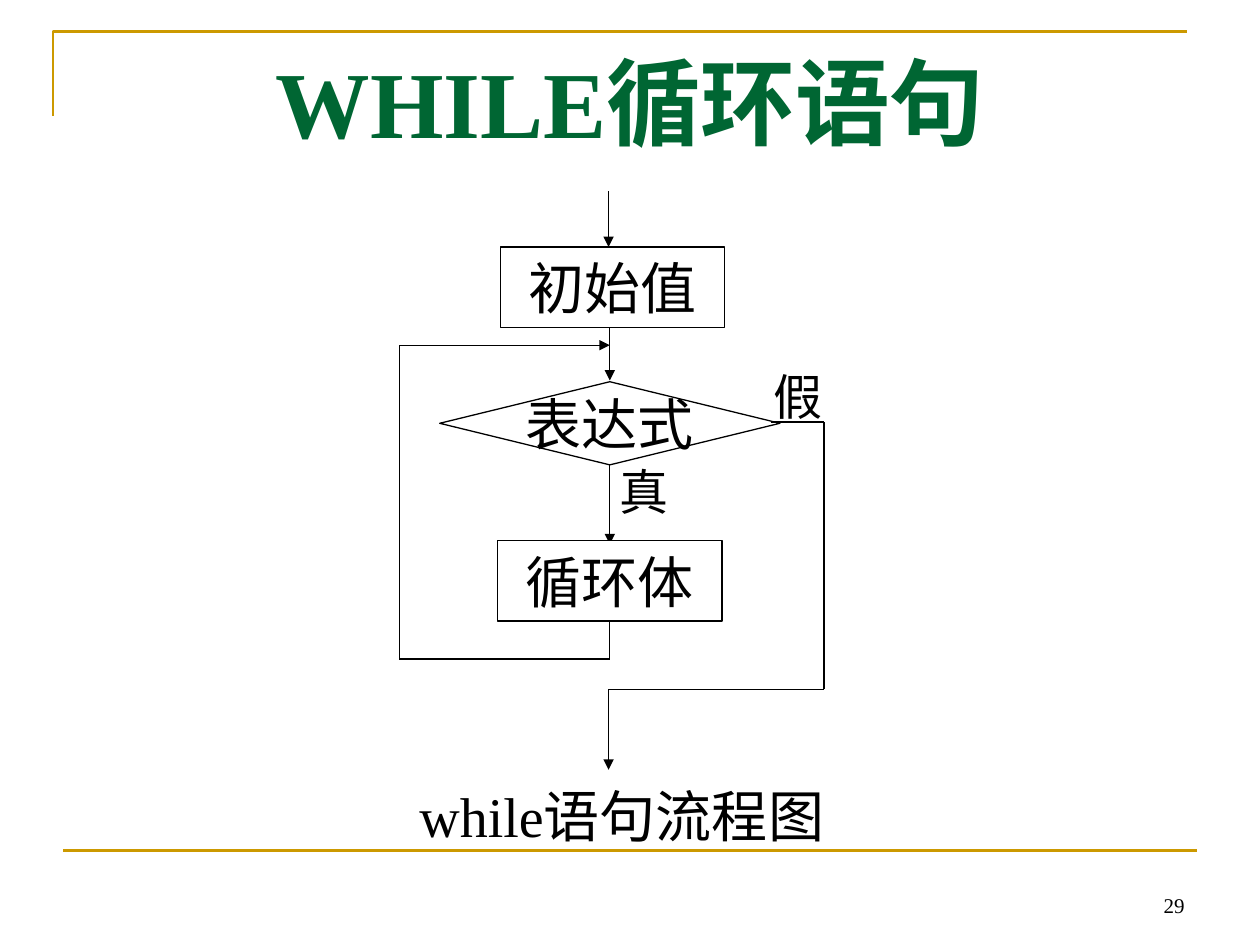
"""Build the WHILE loop flowchart slide."""
import itertools
from typing import Any, NamedTuple, Optional

import lxml.etree
import pptx
import pptx.dml.color
import pptx.enum.shapes
import pptx.enum.text
import pptx.oxml.ns
import pptx.util

Inches = pptx.util.Inches
Pt = pptx.util.Pt
Preset = pptx.enum.shapes.MSO_SHAPE
Anchor = pptx.enum.text.MSO_ANCHOR
Align = pptx.enum.text.PP_ALIGN
qn = pptx.oxml.ns.qn

SERIF, SANS = "Times New Roman", "Noto Sans CJK SC"
BLACK, WHITE, GREEN, GOLD = "000000", "FFFFFF", "006633", "CC9900"


class Label(NamedTuple):
    text: str
    left: float
    top: float
    width: float
    height: float
    size: int
    font: str = SANS
    color: str = BLACK
    bold: bool = False
    align: Align = Align.CENTER
    anchor: Anchor = Anchor.MIDDLE
    wrap: bool = False
    preset: Optional[Preset] = None


class Flow(NamedTuple):
    points: list[tuple[float, float]]
    arrow: bool = True


LABELS = [
    Label("29", 7.17, 6.83, 2.33, 0.5, 12, SERIF, align=Align.RIGHT, anchor=Anchor.BOTTOM, wrap=True),
    Label("WHILE循环语句", 0.5, 0.3, 9, 1.25, 54, SERIF, GREEN, True, anchor=Anchor.TOP, wrap=True),
    Label("while语句流程图", 3.23, 6.15, 3.52, 0.64, 32, SERIF, align=Align.LEFT, anchor=Anchor.TOP),
    Label("假", 6.04, 2.86, 0.59, 0.57, 28),
    Label("真", 4.73, 3.61, 0.76, 0.57, 28, wrap=True),
]
DECISION = Label("表达式", 3.49, 3.03, 2.7, 0.66, 32, SERIF, preset=Preset.FLOWCHART_DECISION)
STEPS = [
    Label("初始值", 3.97, 1.96, 1.78, 0.64, 32, wrap=True, preset=Preset.RECTANGLE),
    Label("循环体", 3.95, 4.29, 1.78, 0.64, 32, wrap=True, preset=Preset.RECTANGLE),
]
FLOWS = [
    Flow([(4.83, 1.52), (4.83, 1.96)]),
    Flow([(4.84, 2.59), (4.84, 3.02)]),
    Flow([(4.84, 3.69), (4.84, 4.32)]),
    Flow([(4.84, 4.88), (4.84, 5.23), (3.17, 5.23), (3.17, 2.74), (4.84, 2.74)]),
    Flow([(6.12, 3.35), (6.54, 3.35), (6.54, 5.47), (4.83, 5.47), (4.83, 6.11)]),
]


def rgb(color: str) -> pptx.dml.color.RGBColor:
    """Turn a hex string into a colour."""
    return pptx.dml.color.RGBColor.from_string(color)


def set_values(target: Any, values: dict[str, Any]) -> None:
    """Set each named attribute of the target."""
    for name, value in values.items():
        setattr(target, name, value)


def style_line(line: Any, color: str, width: float) -> None:
    """Give a line its colour and width."""
    line.color.rgb = rgb(color)
    line.width = Pt(width)


def draw_label(slide: Any, label: Label) -> None:
    """Draw a text box, or a bordered shape when a preset is given."""
    box = [Inches(value) for value in (label.left, label.top, label.width, label.height)]
    if label.preset is None:
        shape = slide.shapes.add_textbox(*box)
    else:
        shape = slide.shapes.add_shape(label.preset, *box)
        shape.shadow.inherit = False
        shape.fill.solid()
        shape.fill.fore_color.rgb = rgb(WHITE)
        style_line(shape.line, BLACK, 0.75)
    frame = shape.text_frame
    set_values(frame, {
        "word_wrap": label.wrap, "vertical_anchor": label.anchor,
        "margin_left": Inches(0.1), "margin_right": Inches(0.1),
        "margin_top": Inches(0.05), "margin_bottom": Inches(0.05),
    })
    paragraph = frame.paragraphs[0]
    paragraph.alignment = label.align
    run = paragraph.add_run()
    run.text = label.text
    set_values(run.font, {"size": Pt(label.size), "bold": label.bold, "name": label.font})
    run.font.color.rgb = rgb(label.color)
    properties = run._r.get_or_add_rPr()
    lxml.etree.SubElement(properties, qn("a:ea")).set("typeface", SANS)


def draw_flow(slide: Any, flow: Flow, color: str = BLACK, width: float = 0.75) -> None:
    """Draw straight segments through the points, with an optional final arrowhead."""
    for start, end in itertools.pairwise(flow.points):
        connector = slide.shapes.add_connector(
            pptx.enum.shapes.MSO_CONNECTOR.STRAIGHT, *map(Inches, start + end))
        style_line(connector.line, color, width)
        lxml.etree.SubElement(connector._element.spPr, qn("a:effectLst"))
    if flow.arrow:
        outline = connector.line._get_or_add_ln()
        lxml.etree.SubElement(outline, qn("a:tailEnd")).set("type", "triangle")


def draw_frame(slide: Any) -> None:
    """Draw the gold corner and the gold footer rule."""
    builder = slide.shapes.build_freeform(Inches(0.42), Inches(0.92))
    builder.add_line_segments(
        [(Inches(0.42), Inches(0.25)), (Inches(9.42), Inches(0.25))], close=False)
    corner = builder.convert_to_shape()
    corner.shadow.inherit = False
    corner.fill.background()
    style_line(corner.line, GOLD, 1.5)
    draw_flow(slide, Flow([(0.5, 6.75), (9.5, 6.75)], arrow=False), GOLD, 1.5)


def main() -> None:
    """Assemble and save the slide."""
    presentation = pptx.Presentation()
    set_values(presentation, {"slide_width": Inches(10), "slide_height": Inches(7.5)})
    slide = presentation.slides.add_slide(presentation.slide_layouts[6])
    draw_frame(slide)
    draw_label(slide, DECISION)
    for flow in FLOWS:
        draw_flow(slide, flow)
    for label in STEPS + LABELS:
        draw_label(slide, label)
    presentation.save("out.pptx")


if __name__ == "__main__":
    main()
